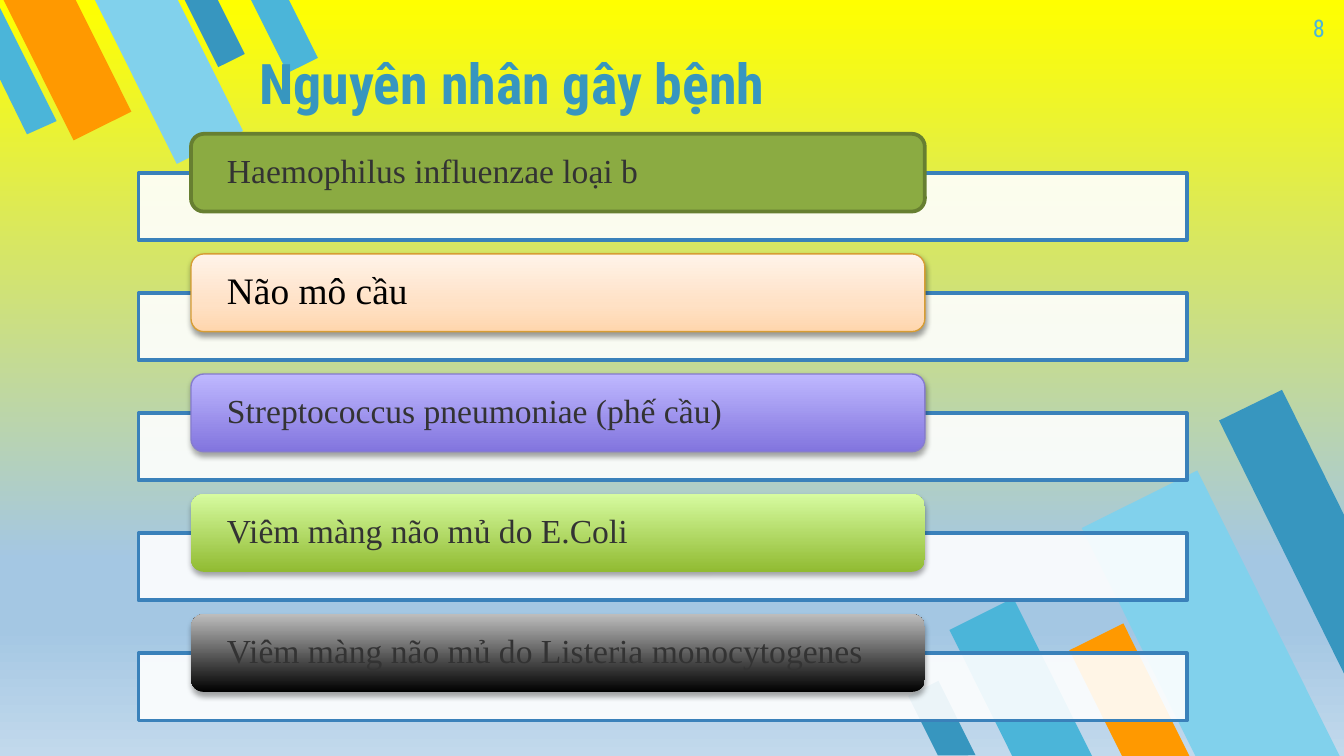
from dataclasses import dataclass

from lxml.etree import SubElement
from pptx import Presentation
from pptx.dml.color import RGBColor as Rgb
from pptx.enum.shapes import MSO_SHAPE as Kind
from pptx.enum.text import MSO_ANCHOR as Anchor, MSO_AUTO_SIZE as Fit, PP_ALIGN as Align
from pptx.oxml.ns import qn
from pptx.util import Cm, Pt


@dataclass(frozen=True)
class Theme:
    blue: str = "3796BF"
    aqua: str = "4BB5D9"
    sky: str = "81D1EC"
    orange: str = "FF9900"
    white: str = "FFFFFF"
    edge: str = "3A81BA"
    ink: str = "333333"
    black: str = "000000"
    head: str = "Roboto Condensed"
    body: str = "Times New Roman"
    title: int = 30
    page: int = 13
    item: int = 18
    large: int = 20
    sky_fade: tuple = ((0, "FFFF00"), (74, "A4C7E3"), (83, "A4C7E3"), (100, "C2D9EC"))


T = Theme()

# Ribbons: left, top, width, height, colour
LOW = [
    (18.62, 11.43, 1.35, 3.35, T.aqua),
    (21.67, 9.12, 2.44, 6.07, T.sky),
    (20.78, 11.89, 1.14, 2.82, T.orange),
    (17.48, 12.93, 0.64, 1.57, T.blue),
]
HIGH = [
    (3.78, -0.2, 0.56, 1.42, T.blue),
    (0.66, -0.46, 1.22, 3, T.orange),
    (2.49, -0.51, 1.4, 3.48, T.sky),
    (5.05, -0.25, 0.64, 1.57, T.aqua),
]
LOW_CUT = [(24.23, 7.37), (23.04, 7.95), (25.4, 12.73), (25.4, 9.73)]
HIGH_CUT = [(0.51, 2.54), (1.07, 2.29), (0, 0.15), (0, 1.5)]

# Causes: text, size, ink, fill, (line, width), (shadow opacity, distance)
CAUSES = [
    ("Haemophilus influenzae loại b", T.item, T.ink, "8BAB42", ("677F31", 2), None),
    ("Não mô cầu", T.large, T.black,
     ((0, "FFD6AD"), (35, "FFE1C5"), (100, "FFF3E9")), ("D79D34", 0.75), (38, 1.6)),
    ("Streptococcus pneumoniae (phế cầu)", T.item, T.ink,
     ((0, "8275DE"), (100, "BFB8FF")), ("867CCF", 0.75), (35, 1.8)),
    ("Viêm màng não mủ do E.Coli", T.item, T.ink,
     ((0, "91BB32"), (100, "D6FBA0")), None, (35, 1.8)),
    ("Viêm màng não mủ do Listeria monocytogenes", T.item, T.ink,
     ((0, "000000"), (100, "BDBDBD")), None, (35, 1.8)),
]
STEP = 2.27


def tint(node, color, alpha=100):
    clr = SubElement(node, qn("a:srgbClr"), val=color)
    if alpha < 100:
        SubElement(clr, qn("a:alpha"), val=str(alpha * 1000))


def fade(fill, root, stops, angle):
    fill.gradient()
    grad = root.find(".//" + qn("a:gradFill"))
    for node in list(grad):
        grad.remove(node)
    band = SubElement(grad, qn("a:gsLst"))
    for pos, color in stops:
        tint(SubElement(band, qn("a:gs"), pos=str(pos * 1000)), color)
    SubElement(grad, qn("a:lin"), ang=str(angle * 60000), scaled="0")


def paint(shape, fill, line=None):
    shape.shadow.inherit = False
    if isinstance(fill, str):
        shape.fill.solid()
        shape.fill.fore_color.rgb = Rgb.from_string(fill)
    else:
        fade(shape.fill, shape._element.spPr, fill, 270)
    if line:
        shape.line.color.rgb = Rgb.from_string(line[0])
        shape.line.width = Pt(line[1])
    else:
        shape.line.fill.background()


def shade(shape, alpha, dist):
    glow = SubElement(shape._element.spPr.find(qn("a:effectLst")), qn("a:outerShdw"),
                      blurRad=str(Pt(3.1)), dist=str(Pt(dist)),
                      dir="5400000", rotWithShape="0")
    tint(glow, T.black, alpha)


def write(shape, text, font, size, color, align=Align.LEFT, anchor=Anchor.TOP,
          pad=(0.25, 0.25), bold=False, lead=1.0):
    frame = shape.text_frame
    frame.word_wrap = True
    frame.auto_size = Fit.NONE
    frame.vertical_anchor = anchor
    frame.margin_left = frame.margin_right = Cm(pad[0])
    frame.margin_top = frame.margin_bottom = Cm(pad[1])
    para = frame.paragraphs[0]
    para.alignment = align
    para.line_spacing = lead
    run = para.add_run()
    run.text = text
    run.font.name = font
    run.font.size = Pt(size)
    run.font.bold = bold
    run.font.color.rgb = Rgb.from_string(color)


def block(slide, kind, box, fill, line=None):
    shape = slide.shapes.add_shape(kind, *map(Cm, box))
    paint(shape, fill, line)
    return shape


def ribbon(slide, box, color, turn):
    shape = block(slide, Kind.FLOWCHART_MANUAL_INPUT, box, color)
    shape.rotation = turn
    shape._element.spPr.find(qn("a:xfrm")).set("flipH", "1")


def cut(slide, points, color):
    first, *rest = [(Cm(x), Cm(y)) for x, y in points]
    pen = slide.shapes.build_freeform(*first)
    pen.add_line_segments(rest, close=True)
    paint(pen.convert_to_shape(), color)


def cause(slide, row, text, size, ink, fill, line, shadow):
    drop = row * STEP
    plate = block(slide, Kind.RECTANGLE, (2.62, 3.27 + drop, 19.81, 1.27),
                  T.white, (T.edge, 2))
    clr = plate._element.spPr.find(qn("a:solidFill")).find(qn("a:srgbClr"))
    SubElement(clr, qn("a:alpha"), val="90000")
    card = block(slide, Kind.ROUNDED_RECTANGLE, (3.61, 2.53 + drop, 13.87, 1.47),
                 fill, line)
    if shadow:
        shade(card, *shadow)
    write(card, text, T.body, size, ink, anchor=Anchor.MIDDLE, pad=(0.61, 0), lead=0.9)


def heading(slide, text):
    title = slide.shapes.title
    title.left, title.top, title.width, title.height = map(Cm, (4.65, 0.56, 16, 1.88))
    write(title, text, T.head, T.title, T.blue, anchor=Anchor.BOTTOM, bold=True)
    # Bring the title in front of the ribbons
    title._element.getparent().append(title._element)


def main():
    deck = Presentation()
    deck.slide_width, deck.slide_height = Cm(25.4), Cm(14.29)
    slide = deck.slides.add_slide(deck.slide_layouts[5])
    fade(slide.background.fill, slide._element, T.sky_fade, 90)

    # Corner ribbons
    for group, turn, points, color in ((LOW, 153.5, LOW_CUT, T.blue),
                                       (HIGH, 333.5, HIGH_CUT, T.aqua)):
        for *box, tone in group:
            ribbon(slide, box, tone, turn)
        cut(slide, points, color)

    # Title and page number
    heading(slide, "Nguyên nhân gây bệnh")
    page = slide.shapes.add_textbox(*map(Cm, (23.77, 0, 1.52, 1.09)))
    write(page, "8", T.head, T.page, T.aqua, Align.RIGHT)

    # List of causes
    for row, item in enumerate(CAUSES):
        cause(slide, row, *item)

    deck.save("out.pptx")


main()
